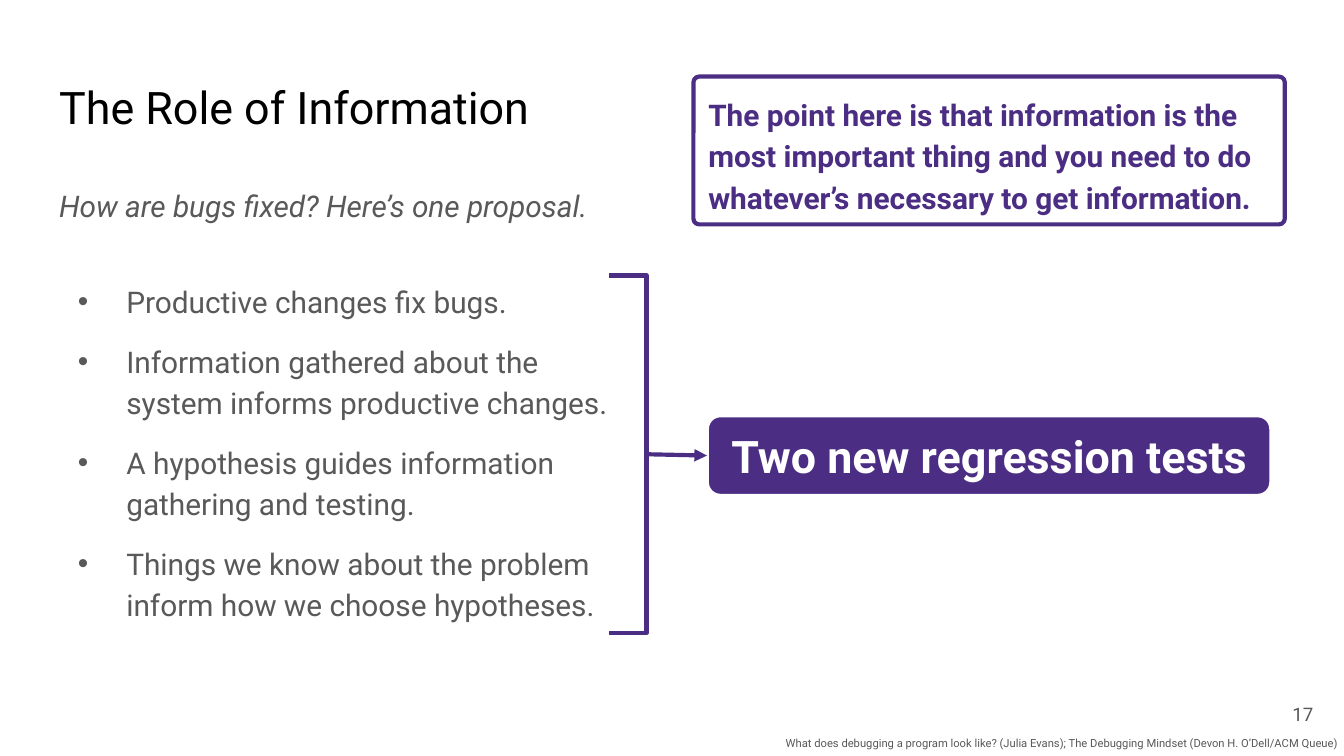
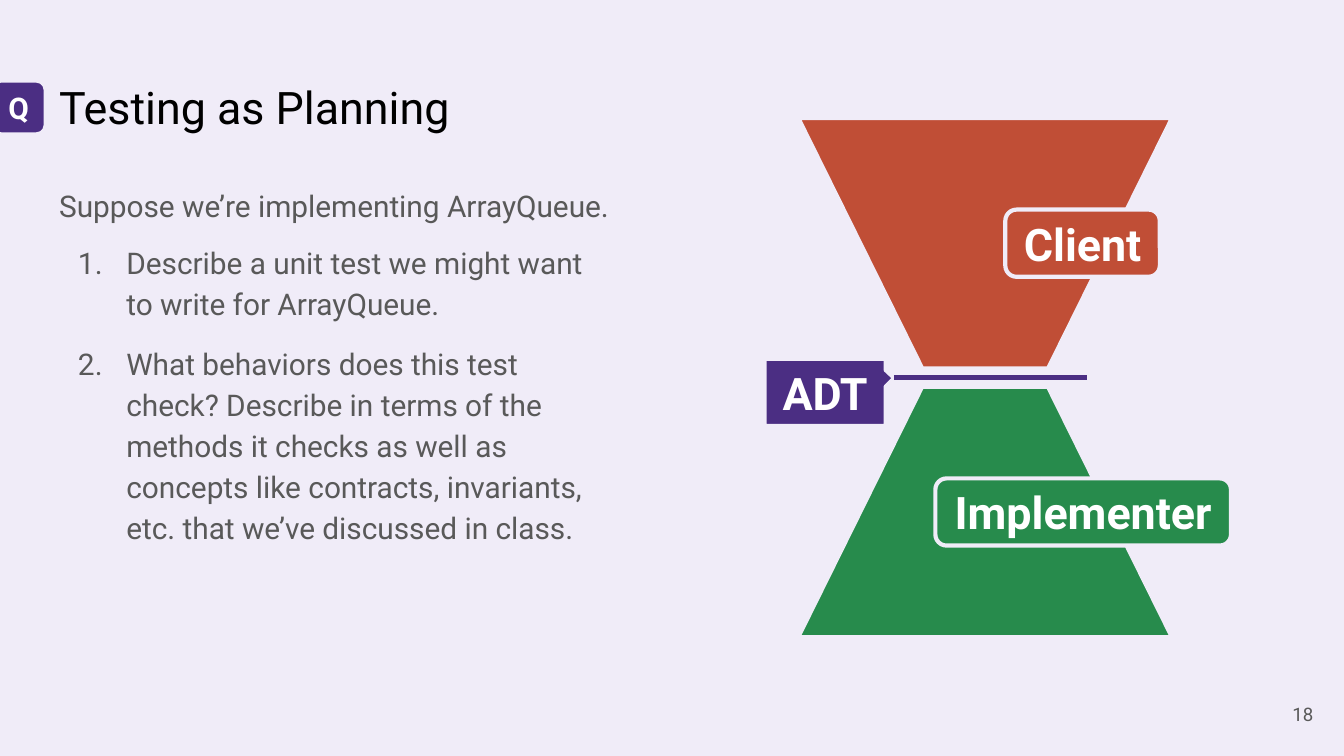
from lxml import etree
from pptx import Presentation
from pptx.dml.color import RGBColor
from pptx.enum import shapes, text
from pptx.oxml import ns
from pptx.util import Inches, Pt

FONT = "Roboto"
BLACK = RGBColor(0x00, 0x00, 0x00)
WHITE = RGBColor(0xFF, 0xFF, 0xFF)
GRAY = RGBColor(0x59, 0x59, 0x59)
PURPLE = RGBColor(0x4B, 0x2E, 0x83)
LAVENDER = RGBColor(0xF0, 0xEC, 0xF8)
GREEN = RGBColor(0x27, 0x8B, 0x4C)
RED = RGBColor(0xC0, 0x4E, 0x36)

ROUND = shapes.MSO_SHAPE.ROUNDED_RECTANGLE
LEFT, CENTER, RIGHT = text.PP_ALIGN.LEFT, text.PP_ALIGN.CENTER, text.PP_ALIGN.RIGHT
TOP, MIDDLE = text.MSO_ANCHOR.TOP, text.MSO_ANCHOR.MIDDLE
DOT = ("buChar", {"char": "•"})
NUMBER = ("buAutoNum", {"type": "arabicPeriod"})

INFORMATION = {
    "title": "The Role of Information",
    "number": "17",
    "background": WHITE,
    "intro": "How are bugs fixed? Here’s one proposal.",
    "intro_italic": True,
    "marker": DOT,
    "list_gap": 29,
    "items": [
        "Productive changes fix bugs.",
        "Information gathered about the system informs productive changes.",
        "A hypothesis guides information gathering and testing.",
        "Things we know about the problem inform how we choose hypotheses.",
    ],
}
PLANNING = {
    "title": "Testing as Planning",
    "number": "18",
    "background": LAVENDER,
    "intro": "Suppose we’re implementing ArrayQueue.",
    "intro_italic": False,
    "marker": NUMBER,
    "list_gap": 8,
    "items": [
        "Describe a unit test we might want to write for ArrayQueue.",
        "What behaviors does this test check? Describe in terms of the methods it checks "
        "as well as concepts like contracts, invariants, etc. that we’ve discussed in class.",
    ],
}
SOURCES = ("What does debugging a program look like? (Julia Evans); "
           "The Debugging Mindset (Devon H. O’Dell/ACM Queue)")
POINT = ("The point here is that information is the most important thing "
         "and you need to do whatever’s necessary to get information.")
RESULT = "Two new regression tests"


def write(box, words, *, size=16, color=GRAY, bold=False, italic=False, align=LEFT,
          anchor=TOP, inset=0.1, spacing=1.0, before=0, after=0, marker=None, add=False):
    """Put one paragraph in a box, after the existing ones if add is true."""
    frame = box.text_frame
    frame.auto_size = text.MSO_AUTO_SIZE.NONE
    frame.word_wrap = True
    frame.vertical_anchor = anchor
    frame.margin_left = frame.margin_right = Inches(inset)
    frame.margin_top = frame.margin_bottom = Inches(inset)
    para = frame.add_paragraph() if add else frame.paragraphs[0]
    para.alignment = align
    para.line_spacing = spacing
    para.space_before, para.space_after = Pt(before), Pt(after)
    set_marker(para, marker, color)
    span = para.add_run()
    span.text = words
    font = span.font
    font.name, font.size, font.bold, font.italic = FONT, Pt(size), bold, italic
    font.color.rgb = color


def set_marker(para, marker, color):
    """Give the paragraph a dot in the template's bullet font, a number, or neither."""
    properties = para._p.get_or_add_pPr()
    properties.set("marL", str(Inches(0.5) if marker else 0))
    properties.set("indent", str(Inches(-0.36) if marker else 0))
    if not marker:
        etree.SubElement(properties, ns.qn("a:buNone"))
        return
    tint = etree.SubElement(properties, ns.qn("a:buClr"))
    etree.SubElement(tint, ns.qn("a:srgbClr"), val=str(color))
    if marker is NUMBER:
        etree.SubElement(properties, ns.qn("a:buFont"), typeface=FONT)
    tag, attributes = marker
    etree.SubElement(properties, ns.qn("a:" + tag), attributes)


def place(box, area):
    box.left, box.top, box.width, box.height = map(Inches, area)


def add_text(page, area, words, **style):
    box = page.shapes.add_textbox(*map(Inches, area))
    write(box, words, **style)


def add_shape(page, kind, area, fill, line, width=2.25, adjust=(0.167,)):
    shape = page.shapes.add_shape(kind, *map(Inches, area))
    shape.shadow.inherit = False
    if fill is None:
        shape.fill.background()
    else:
        shape.fill.solid()
        shape.fill.fore_color.rgb = fill
    shape.line.color.rgb = line
    shape.line.width = Pt(width)
    for index, value in enumerate(adjust):
        shape.adjustments[index] = value
    return shape


def add_label(page, area, words, fill, line, size=24, kind=ROUND, adjust=(0.167,)):
    label = add_shape(page, kind, area, fill, line, adjust=adjust)
    write(label, words, size=size, color=WHITE, bold=True, align=CENTER, anchor=MIDDLE)
    return label


def add_line(page, start, end, width):
    line = page.shapes.add_connector(
        shapes.MSO_CONNECTOR.STRAIGHT, *map(Inches, start + end))
    line.line.color.rgb = PURPLE
    line.line.width = Pt(width)
    etree.SubElement(line._element.spPr, ns.qn("a:effectLst"))
    return line


def add_page(deck, content):
    """Start a slide with the title, list and page number both slides share."""
    page = deck.slides.add_slide(deck.slide_layouts[1])
    page.background.fill.solid()
    page.background.fill.fore_color.rgb = content["background"]

    title, body = page.placeholders
    place(title, (0.34, 0.49, 4.32, 0.63))
    write(title, content["title"], size=24, color=BLACK)

    place(body, (0.34, 1.26, 4.32, 3.74))
    write(body, content["intro"], italic=content["intro_italic"], spacing=1.15)
    for index, item in enumerate(content["items"]):
        write(body, item, spacing=1.15, marker=content["marker"], add=True,
              before=10 if index else content["list_gap"])

    add_text(page, (9.27, 5.1, 0.6, 0.43), content["number"],
             size=10, align=RIGHT, anchor=MIDDLE)
    return page


def build_information(deck):
    page = add_page(deck, INFORMATION)
    add_text(page, (0, 5.43, 10, 0.2), SOURCES, size=6, align=RIGHT, inset=0.05)

    point = add_shape(page, ROUND, (5.16, 0.57, 4.4, 1.1), WHITE, PURPLE, adjust=(0.039,))
    write(point, POINT, color=PURPLE, bold=True, spacing=1.15, after=8)

    add_shape(page, shapes.MSO_SHAPE.RIGHT_BRACKET, (4.53, 2.05, 0.28, 2.66),
              None, PURPLE, adjust=(0,))
    result = add_label(page, (5.26, 3.09, 4.2, 0.6), RESULT, PURPLE, WHITE)
    arrow = add_line(page, (4.81, 3.38), (5.26, 3.39), 2.25)
    arrow.end_connect(result, 1)
    etree.SubElement(arrow.line._get_or_add_ln(), ns.qn("a:tailEnd"), type="triangle")


def build_planning(deck):
    page = add_page(deck, PLANNING)
    add_label(page, (-0.06, 0.6, 0.4, 0.4), "Q", PURPLE, LAVENDER, size=16)

    left, middle, width, height = 5.83, 2.81, 3, 2
    for top, color, turn in ((middle, GREEN, 0), (middle - height, RED, 180)):
        half = add_shape(page, shapes.MSO_SHAPE.TRAPEZOID, (left, top, width, height),
                         color, LAVENDER, width=12, adjust=(0.495,))
        half.rotation = turn

    add_label(page, (6.96, 3.56, 2.2, 0.5), "Implementer", GREEN, LAVENDER)
    add_label(page, (7.48, 1.56, 1.15, 0.5), "Client", RED, LAVENDER)
    callout = add_label(page, (5.69, 2.67, 0.9, 0.5), "ADT", PURPLE, LAVENDER,
                        kind=shapes.MSO_SHAPE.ROUNDED_RECTANGULAR_CALLOUT,
                        adjust=(-0.572, -0.213, 0))
    callout._element.spPr.find(ns.qn("a:xfrm")).set("flipH", "1")
    add_line(page, (6.65, middle), (8.09, middle), 3)


def main():
    deck = Presentation()
    deck.slide_width = Inches(10)
    deck.slide_height = deck.slide_width * 9 // 16
    build_information(deck)
    build_planning(deck)
    deck.save("out.pptx")


if __name__ == "__main__":
    main()
